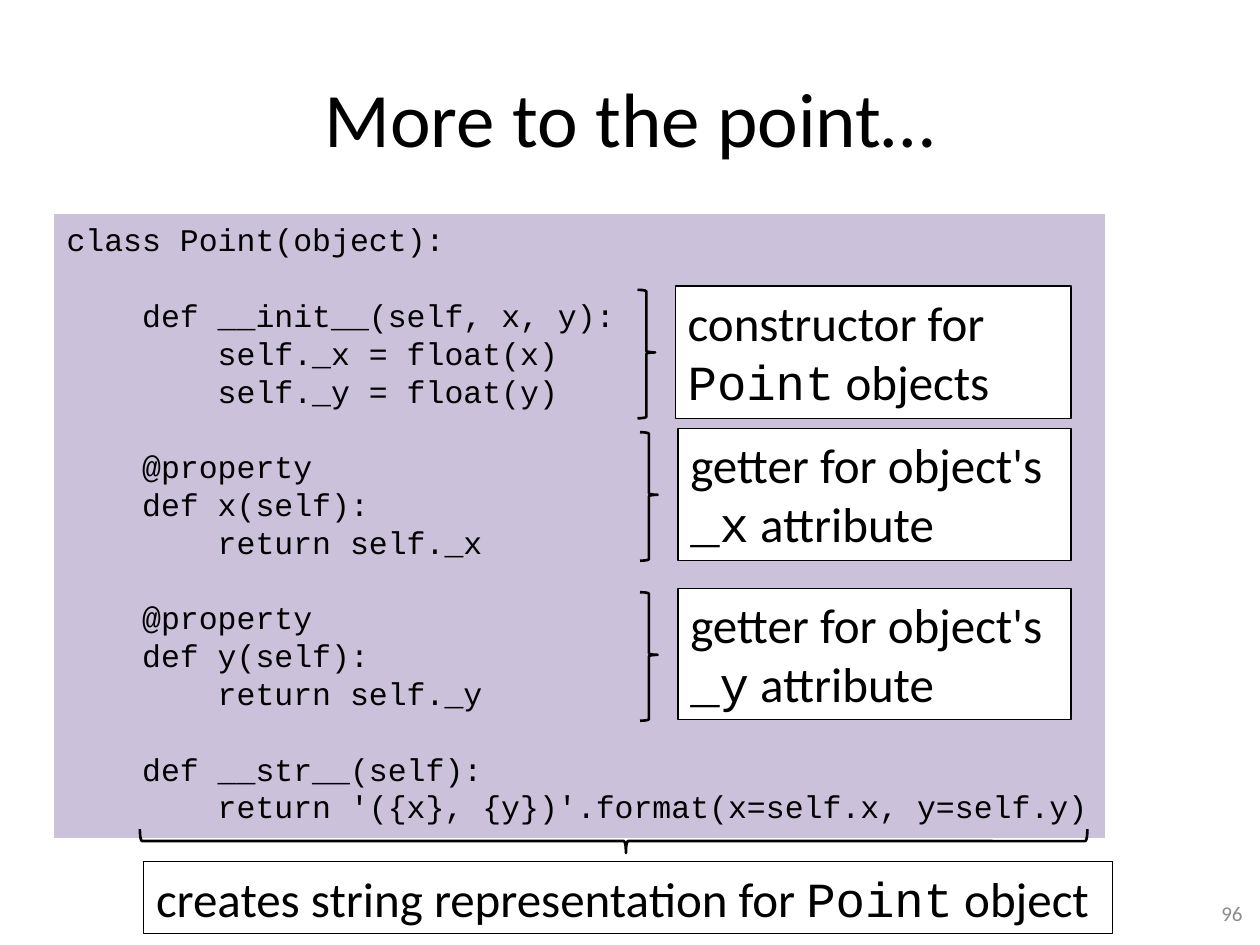
from pptx import Presentation
from pptx.dml.color import RGBColor
from pptx.enum.shapes import MSO_SHAPE
from pptx.enum.text import MSO_ANCHOR, PP_ALIGN
from pptx.util import Inches, Pt

COLS, ROWS = 100, 75
WIDE, HIGH = Inches(10), Inches(7.5)
SANS, MONO = "Calibri", "Courier New"
STEP = 0.6
BLOCKS = [
    [(0, "class Point(object):")],
    [(1, "def __init__(self, x, y):"),
     (2, "self._x = float(x)"),
     (2, "self._y = float(y)")],
    [(1, "@property"),
     (1, "def x(self):"),
     (2, "return self._x")],
    [(1, "@property"),
     (1, "def y(self):"),
     (2, "return self._y")],
    [(1, "def __str__(self):"),
     (2, "return '({x}, {y})'.format(x=self.x, y=self.y)")],
]
NOTES = [
    ((50.6, 22.7, 34.4, 10.5), "constructor for\n`Point` objects"),
    ((50.8, 34, 34.2, 10.5), "getter for object's\n`_x` attribute"),
    ((50.8, 46.7, 34.2, 10.4), "getter for object's\n`_y` attribute"),
]


def color(code):
    return RGBColor.from_string(code)


def frame(box):
    x, y, w, h = box
    return (int(x * WIDE / COLS), int(y * HIGH / ROWS),
            int(w * WIDE / COLS), int(h * HIGH / ROWS))


def write(para, text, size=28, font=SANS, ink="000000", align=PP_ALIGN.LEFT):
    para.alignment = align
    for i, part in enumerate(text.split("`")):
        for j, line in enumerate(part.split("\n")):
            if j:
                para.add_line_break()
            if line:
                run = para.add_run()
                run.text = line
                run.font.size = Pt(size)
                run.font.name = MONO if i % 2 else font
                run.font.color.rgb = color(ink)


def shape(slide, kind, box, fill=None, line=None):
    item = slide.shapes.add_shape(kind, *frame(box))
    item.shadow.inherit = False
    if fill:
        item.fill.solid()
        item.fill.fore_color.rgb = color(fill)
    else:
        item.fill.background()
    if line:
        item.line.color.rgb = color("000000")
        item.line.width = Pt(line)
    else:
        item.line.fill.background()
    item.text_frame.word_wrap = True
    item.text_frame.vertical_anchor = MSO_ANCHOR.TOP
    return item


def brace(slide, box, turn=False):
    x, y, w, h = box
    if turn:
        box = x + (w - h) / 2, y + (h - w) / 2, h, w
    item = shape(slide, MSO_SHAPE.RIGHT_BRACE, box, line=1.5)
    item.adjustments[0] = 0.083
    item.adjustments[1] = 0.487
    item.rotation = 90 if turn else 0


def label(slide, box, text):
    item = shape(slide, MSO_SHAPE.RECTANGLE, box, "FFFFFF", 0.75)
    write(item.text_frame.paragraphs[0], text)


def note(slide, box, text):
    x, y, w, h = box
    brace(slide, (x, y + 0.3, 1.4, 10.2))
    label(slide, (x + 3, y, w - 3, h), text)


def footing(slide, box, text):
    x, y, w, h = box
    brace(slide, (x - 0.3, y, 75.2, 1.9), turn=True)
    label(slide, (x, y + 2.6, w, h - 2.6), text)


def title(slide, box, text):
    item = slide.shapes.title
    item.left, item.top, item.width, item.height = frame(box)
    item.text_frame.vertical_anchor = MSO_ANCHOR.MIDDLE
    write(item.text_frame.paragraphs[0], text, size=44, align=PP_ALIGN.CENTER)


def listing(slide, box):
    body = shape(slide, MSO_SHAPE.RECTANGLE, box, "CCC1DA").text_frame
    for i, block in enumerate(BLOCKS):
        for j, (level, text) in enumerate(block):
            para = body.add_paragraph() if i or j else body.paragraphs[0]
            write(para, text, size=18, font=MONO)
            props = para._p.get_or_add_pPr()
            props.set("marL", str(Inches(level * STEP)))
            props.set("indent", "0")
            if i and not j:
                para.space_before = Pt(21.6)


def number(slide, box, text):
    body = slide.shapes.add_textbox(*frame(box)).text_frame
    body.word_wrap = True
    body.vertical_anchor = MSO_ANCHOR.MIDDLE
    write(body.paragraphs[0], text, size=12, ink="8C8C8C",
          align=PP_ALIGN.RIGHT)


def main():
    deck = Presentation()
    deck.slide_width, deck.slide_height = WIDE, HIGH
    slide = deck.slides.add_slide(deck.slide_layouts[5])
    title(slide, (5, 3, 90, 12.5), "More to the point…")
    listing(slide, (4.3, 17, 83.4, 49.5))
    for box, text in NOTES:
        note(slide, box, text)
    footing(slide, (11.4, 65.8, 76.9, 8.3),
            "creates string representation for `Point` object")
    number(slide, (76.3, 70.5, 23.3, 4), "96")
    deck.save("out.pptx")


if __name__ == "__main__":
    main()
